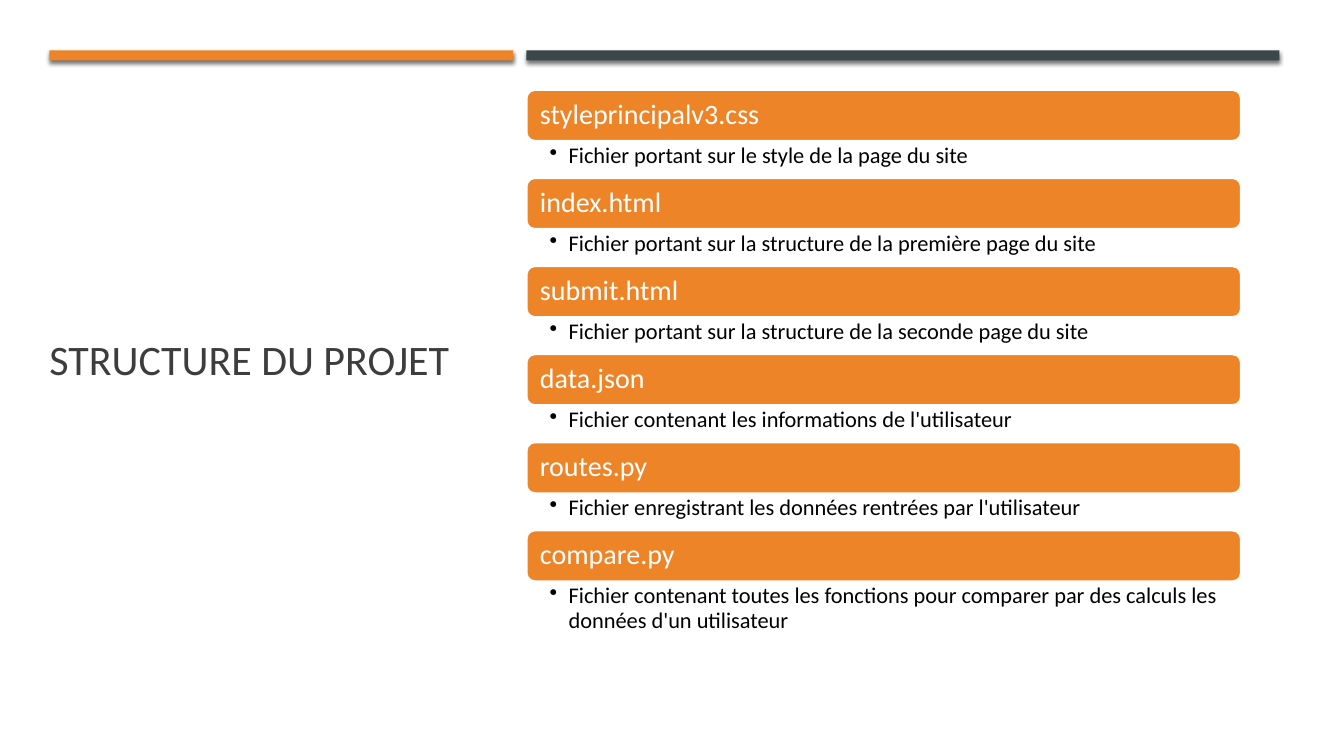
from lxml.etree import SubElement
from pptx import Presentation
from pptx.dml.color import RGBColor
from pptx.enum.shapes import MSO_SHAPE
from pptx.enum.text import MSO_ANCHOR, MSO_AUTO_SIZE, PP_ALIGN
from pptx.oxml.ns import qn
from pptx.util import Inches, Pt

ORANGE, SLATE, WHITE = "ED8428", "3C474C", "FFFFFF"
LEFT, WIDTH = 5.22, 7.09
TOP, STEP, HEAD = 0.89, 0.874, 0.51
FILES = [
    ("styleprincipalv3.css", "Fichier portant sur le style de la page du site"),
    ("index.html", "Fichier portant sur la structure de la première page du site"),
    ("submit.html", "Fichier portant sur la structure de la seconde page du site"),
    ("data.json", "Fichier contenant les informations de l'utilisateur"),
    ("routes.py", "Fichier enregistrant les données rentrées par l'utilisateur"),
    ("compare.py", "Fichier contenant toutes les fonctions pour comparer par des "
                   "calculs les données d'un utilisateur"),
]


def rgb(code):
    return RGBColor.from_string(code)


def place(shape, *box):
    shape.left, shape.top, shape.width, shape.height = map(Inches, box)


def write(shape, text, size, color, insets, anchor):
    """Fill the shape with one left-aligned paragraph and return it."""
    frame = shape.text_frame
    frame.word_wrap = True
    frame.auto_size = MSO_AUTO_SIZE.NONE
    frame.vertical_anchor = anchor
    (frame.margin_left, frame.margin_top,
     frame.margin_right, frame.margin_bottom) = map(Inches, insets)
    frame.text = text
    para = frame.paragraphs[0]
    para.alignment = PP_ALIGN.LEFT
    para.line_spacing = 0.9
    para.font.name = "Calibri"
    para.font.size = Pt(size)
    para.font.color.rgb = rgb(color)
    return para


def add_block(slide, kind, box, color):
    shape = slide.shapes.add_shape(kind, *map(Inches, box))
    shape.shadow.inherit = False
    shape.fill.solid()
    shape.fill.fore_color.rgb = rgb(color)
    shape.line.fill.background()
    return shape


def add_bar(slide, left, width, color):
    """Add a thin top bar with a soft shadow below it."""
    bar = add_block(slide, MSO_SHAPE.RECTANGLE, (left, 0.5, width, 0.1), color)
    effects = bar.element.spPr.find(qn("a:effectLst"))
    shadow = SubElement(effects, qn("a:outerShdw"), blurRad=str(Pt(3)),
                        dist=str(Pt(2)), dir="5400000", rotWithShape="0")
    tint = SubElement(shadow, qn("a:srgbClr"), val="000000")
    SubElement(tint, qn("a:alpha"), val="55000")


def add_head(slide, top, name):
    head = add_block(slide, MSO_SHAPE.ROUNDED_RECTANGLE,
                     (LEFT, top, WIDTH, HEAD), ORANGE)
    head.line.color.rgb = rgb(WHITE)
    head.line.width = Pt(1.75)
    write(head, name, 20, WHITE, (0.11, 0.08, 0.11, 0.08), MSO_ANCHOR.MIDDLE)


def add_note(slide, top, height, text):
    box = slide.shapes.add_textbox(*map(Inches, (LEFT, top, WIDTH, height)))
    para = write(box, text, 16, "000000", (0.23, 0.03, 0.16, 0.03), MSO_ANCHOR.TOP)
    props = para._p.get_or_add_pPr()
    indent = Inches(0.19)
    props.set("marL", str(indent))
    props.set("indent", str(-indent))
    bullet = SubElement(props, qn("a:buChar"), char="•")
    props.find(qn("a:defRPr")).addprevious(bullet)


def main():
    deck = Presentation()
    deck.slide_width, deck.slide_height = Inches(13.33), Inches(7.5)
    slide = deck.slides.add_slide(deck.slide_layouts[5])
    title = slide.shapes.title
    place(title, 0.49, 0.77, 4.74, 5.64)
    write(title, "STRUCTURE DU PROJET", 30, "3D3D3D", (0, 0, 0, 0), MSO_ANCHOR.MIDDLE)
    add_bar(slide, 0.49, 4.6, ORANGE)
    add_bar(slide, LEFT, 7.47, SLATE)
    for row, (name, text) in enumerate(FILES):
        top = TOP + row * STEP
        add_head(slide, top, name)
        height = 0.52 if row == len(FILES) - 1 else STEP - HEAD
        add_note(slide, top + HEAD, height, text)
    deck.save("out.pptx")


if __name__ == "__main__":
    main()
